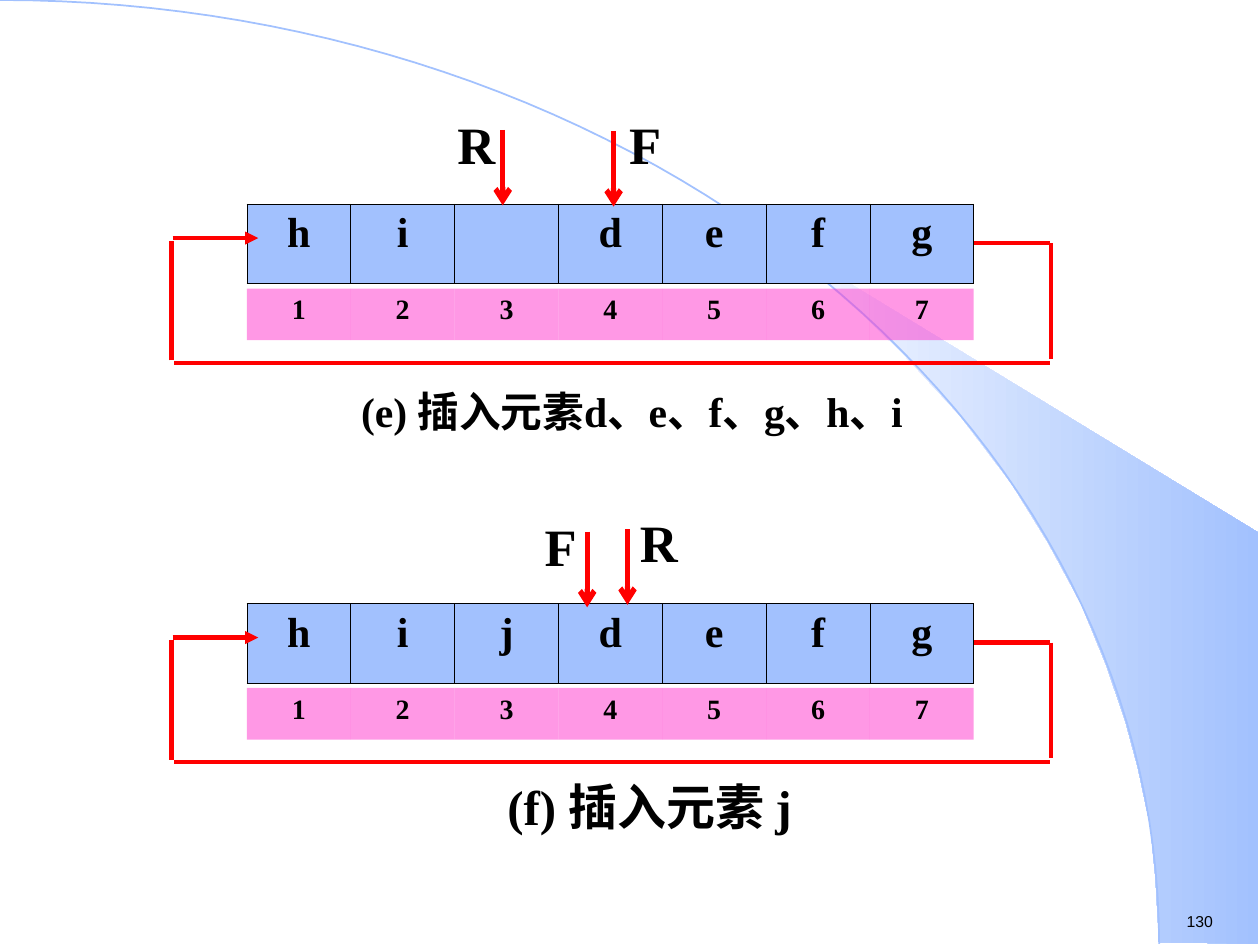
import math

from lxml import etree
from pptx import Presentation
from pptx.dml.color import RGBColor
from pptx.enum.shapes import MSO_CONNECTOR
from pptx.enum.text import PP_ALIGN
from pptx.oxml.ns import qn
from pptx.util import Inches, Pt

STRAIGHT = MSO_CONNECTOR.STRAIGHT
CENTER = PP_ALIGN.CENTER
LEFT = PP_ALIGN.LEFT
BLACK = RGBColor(0x00, 0x00, 0x00)
WHITE = RGBColor(0xFF, 0xFF, 0xFF)
RED = RGBColor(0xFF, 0x00, 0x00)
BLUE = RGBColor(0xA2, 0xC1, 0xFE)
PINK = RGBColor(0xFF, 0x33, 0xCC)
SERIF = "Times New Roman"
CHINESE = "Noto Sans CJK SC"
PLAIN_TABLE = "{2D5ABB26-0587-4C30-8999-92F81FD0307C}"

presentation = Presentation()
presentation.slide_width = Inches(10)
presentation.slide_height = Inches(7.5)
slide = presentation.slides.add_slide(presentation.slide_layouts[6])
shapes = slide.shapes


def add_runs(paragraph, runs, size, bold=True, align=CENTER):
    paragraph.alignment = align
    for text, font_name in runs:
        run = paragraph.add_run()
        run.text = text
        run.font.size = Pt(size)
        run.font.bold = bold
        run.font.name = font_name
        run.font.color.rgb = BLACK
        east_asian = etree.SubElement(run.font._element, qn("a:ea"))
        east_asian.set("typeface", CHINESE)


def add_line(start, end, width, arrowhead=None):
    points = [Inches(value) for value in (*start, *end)]
    connector = shapes.add_connector(STRAIGHT, *points)
    connector.line.color.rgb = RED
    connector.line.width = Pt(width)
    if arrowhead:
        tail = etree.SubElement(connector.line._get_or_add_ln(), qn("a:tailEnd"))
        tail.set("type", arrowhead)
    etree.SubElement(connector._element.spPr, qn("a:effectLst"))


# Background: gradient wedge
wedge_points = [
    (9.2, 7.48), (9.99, 7.49), (9.99, 4.23), (5.89, 1.73), (6.24, 1.99),
    (6.53, 2.22), (6.85, 2.5), (7.16, 2.8), (7.62, 3.3), (8.03, 3.84),
    (8.32, 4.31), (8.58, 4.79), (8.78, 5.28), (8.93, 5.72), (9.03, 6.09),
    (9.13, 6.56), (9.17, 6.96),
]
# Background: quarter ellipse
ARC_WIDTH, ARC_HEIGHT, ARC_STEPS = 9.2, 7.49, 60
angles = [math.pi / 2 * step / ARC_STEPS for step in range(ARC_STEPS + 1)]
arc_points = [(ARC_WIDTH * math.sin(angle), ARC_HEIGHT * (1 - math.cos(angle)))
              for angle in angles]

outlines = []
for points, closed in ((wedge_points, True), (arc_points, False)):
    corners = [(Inches(x), Inches(y)) for x, y in points]
    builder = shapes.build_freeform(*corners[0])
    builder.add_line_segments(corners[1:], close=closed)
    outline = builder.convert_to_shape()
    outline.shadow.inherit = False
    outlines.append(outline)
wedge, arc = outlines

wedge.line.fill.background()
wedge.fill.gradient()
wedge.fill.gradient_angle = 0
for stop, color, position in zip(wedge.fill.gradient_stops, (WHITE, BLUE), (0, 1)):
    stop.color.rgb = color
    stop.position = position

arc.fill.background()
arc.line.color.rgb = BLUE
arc.line.width = Pt(1)

# Slide number
number_box = shapes.add_textbox(Inches(9.32), Inches(7.19), Inches(0.77), Inches(0.25))
number_box.text_frame.word_wrap = False
add_runs(number_box.text_frame.paragraphs[0], [("130", "Arial")], 9, False, LEFT)

# Queue states: table top, elements, pointers (name, arrow x, arrow top, label x, label y),
# caption box, caption size, caption runs
queues = [
    (1.62, ["h", "i", "", "d", "e", "f", "g"],
     [("R", 3.99, 1.03, 3.56, 0.93), ("F", 4.87, 1.04, 4.9, 0.93)],
     (2.34, 3, 5.35, 0.52), 23.8,
     [("(e) ", SERIF), ("插入元素", CHINESE), ("d、e、f、g、h、i", SERIF)]),
    (4.79, ["h", "i", "j", "d", "e", "f", "g"],
     [("F", 4.66, 4.22, 4.23, 4.12), ("R", 4.98, 4.2, 5.01, 4.09)],
     (3.06, 6.17, 4.19, 0.52), 28,
     [("(f) ", SERIF), ("插入元素 ", CHINESE), ("j", SERIF)]),
]
indexes = [str(number) for number in range(1, 8)]

for top, elements, pointers, caption_box, caption_size, caption in queues:
    # Element row and index row
    table_rows = [(top, 0.63, elements, 24, BLUE, True),
                  (top + 0.67, 0.41, indexes, 16, PINK, False)]
    for row_top, height, values, size, color, bordered in table_rows:
        frame = shapes.add_table(1, 7, Inches(1.96), Inches(row_top),
                                 Inches(5.77), Inches(height))
        table = frame.table
        table.first_row = False
        table.horz_banding = False
        table._tbl.tblPr.find(qn("a:tableStyleId")).text = PLAIN_TABLE
        for cell, value in zip(table.iter_cells(), values):
            if bordered:
                for side in ("a:lnL", "a:lnR", "a:lnT", "a:lnB"):
                    border = etree.SubElement(cell._tc.get_or_add_tcPr(), qn(side))
                    border.set("w", str(Pt(0.45)))
                    border_fill = etree.SubElement(border, qn("a:solidFill"))
                    etree.SubElement(border_fill, qn("a:srgbClr")).set("val", str(BLACK))
            cell.fill.solid()
            cell.fill.fore_color.rgb = color
            if not bordered:
                fill_color = cell._tc.tcPr.find(qn("a:solidFill"))[0]
                etree.SubElement(fill_color, qn("a:alpha")).set("val", "50000")
            if value:
                add_runs(cell.text_frame.paragraphs[0], [(value, SERIF)], size)

    # Front and rear pointers
    for _, x, y, _, _ in pointers:
        add_line((x, y), (x, y + 0.6), 3, "arrow")

    # Labels and caption
    labels = [((x, y, 0.44, 0.48), 30, [(name, SERIF)]) for name, _, _, x, y in pointers]
    for box, size, runs in labels + [(caption_box, caption_size, caption)]:
        text_box = shapes.add_textbox(*[Inches(value) for value in box])
        text_frame = text_box.text_frame
        text_frame.word_wrap = True
        text_frame.margin_left = text_frame.margin_right = 0
        text_frame.margin_top = text_frame.margin_bottom = 0
        text_frame.paragraphs[0].line_spacing = Pt(33)
        add_runs(text_frame.paragraphs[0], runs, size)

    # Wrap-around loop from the last cell back to the first
    add_line((7.73, top + 0.31), (8.33, top + 0.31), 2.5)
    add_line((8.34, top + 0.31), (8.34, top + 1.23), 2.5)
    add_line((8.33, top + 1.26), (1.38, top + 1.26), 2.5)
    add_line((1.36, top + 1.24), (1.36, top + 0.29), 2.5)
    add_line((1.37, top + 0.27), (2.05, top + 0.27), 2.5, "triangle")

presentation.save("out.pptx")
